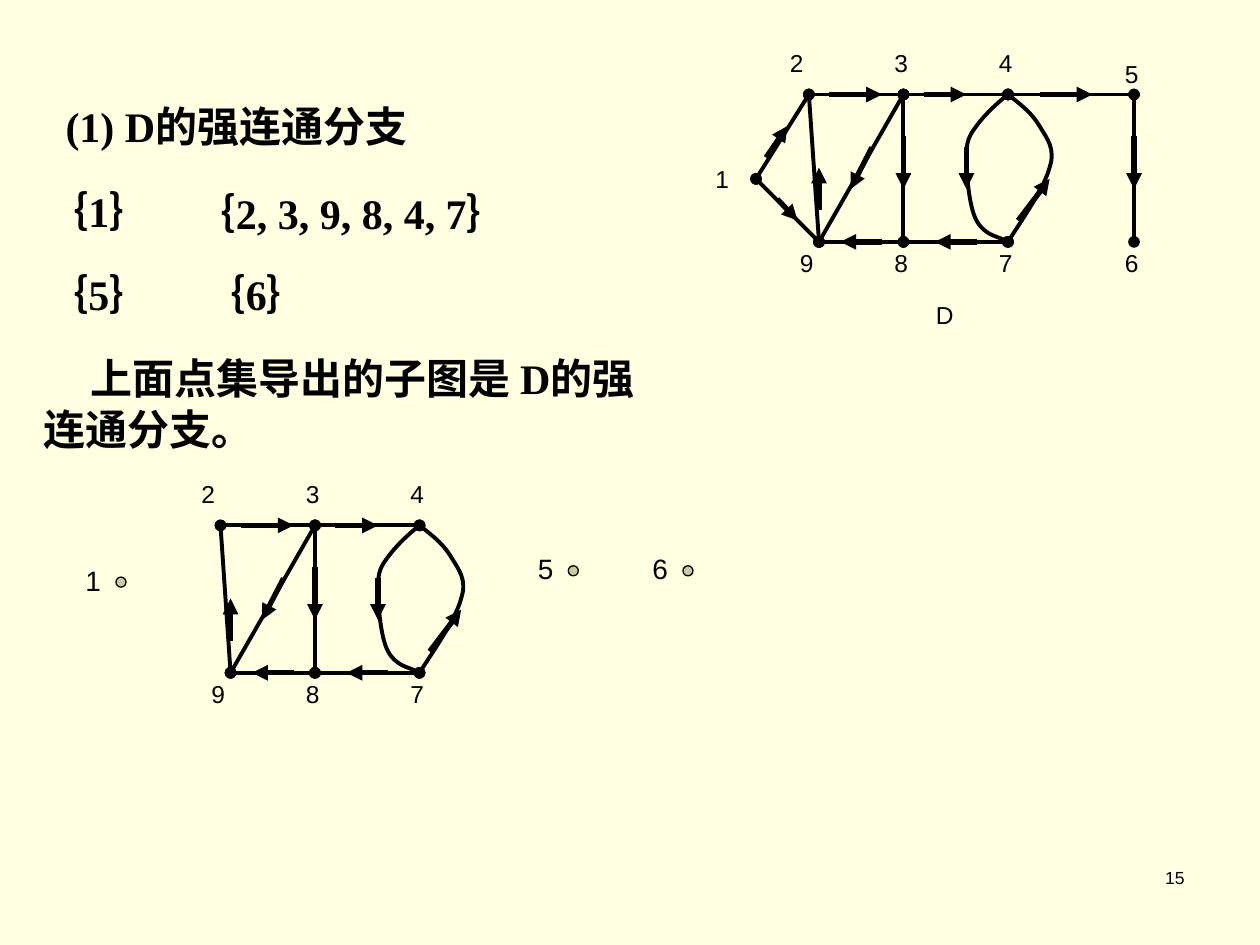
from lxml import etree
from pptx import Presentation
from pptx.dml.color import RGBColor
from pptx.enum.shapes import MSO_CONNECTOR, MSO_SHAPE
from pptx.enum.text import MSO_ANCHOR, MSO_AUTO_SIZE, PP_ALIGN
from pptx.oxml.ns import qn
from pptx.util import Inches, Pt

STRAIGHT, OVAL = MSO_CONNECTOR.STRAIGHT, MSO_SHAPE.OVAL
TOP, LEFT, RIGHT = MSO_ANCHOR.TOP, PP_ALIGN.LEFT, PP_ALIGN.RIGHT
FIT, NO_FIT = MSO_AUTO_SIZE.SHAPE_TO_FIT_TEXT, MSO_AUTO_SIZE.NONE
SERIF, SANS = "Times New Roman", "Arial"
BACKGROUND, INK, DOT = "FFFFE1", "000000", "CCCC99"

HEADING = "(1) D的强连通分支"
COMPONENTS = [  # text, left, top, width
    ("｛1｝", 0.27, 1.42, 1.19),
    ("｛2, 3, 9, 8, 4, 7｝", 1.44, 1.44, 2.86),
    ("｛5｝", 0.27, 2.08, 1.19),
    ("｛6｝", 1.52, 2.08, 1.19),
]
CONCLUSION = "上面点集导出的子图是 D的强连通分支。"
PAGE = "15"

NODES = {  # vertex: (position, label offset)
    1: ((6, 1.42), (-0.42, -0.17)),
    2: ((6.42, 0.75), (-0.25, -0.42)),
    3: ((7.17, 0.75), (-0.17, -0.42)),
    4: ((8, 0.75), (-0.17, -0.42)),
    5: ((9, 0.75), (-0.17, -0.33)),
    6: ((9, 1.92), (-0.17, 0)),
    7: ((8, 1.92), (-0.17, 0)),
    8: ((7.17, 1.92), (-0.17, 0)),
    9: ((6.5, 1.92), (-0.25, 0)),
}
EDGES = [  # from vertex, to vertex, direction arrow start and end
    (1, 2, (6.08, 1.25), (6.25, 1)),
    (1, 9, (6.17, 1.58), (6.33, 1.75)),
    (9, 2, (6.5, 1.67), (6.5, 1.33)),
    (2, 3, (6.58, 0.75), (7, 0.75)),
    (3, 8, (7.17, 1.08), (7.17, 1.5)),
    (8, 9, (7, 1.92), (6.67, 1.92)),
    (7, 8, (7.75, 1.92), (7.42, 1.92)),
    (3, 4, (7.33, 0.75), (7.67, 0.75)),
    (3, 9, (6.92, 1.17), (6.75, 1.5)),
    (4, 7, (7.67, 1.17), (7.67, 1.5)),
    (7, 4, (8.08, 1.75), (8.33, 1.42)),
    (4, 5, (8.25, 0.75), (8.67, 0.75)),
    (5, 6, (9, 1.08), (9, 1.5)),
]
CURVES = {  # Bezier points, from vertex 4 down to vertex 7
    (4, 7): [(8, 0.75), (7.9, 0.83), (7.81, 0.92), (7.75, 1), (7.69, 1.08),
             (7.67, 1.12), (7.67, 1.25), (7.67, 1.37), (7.69, 1.64),
             (7.75, 1.75), (7.81, 1.86), (7.96, 1.89), (8, 1.92)],
    (7, 4): [(8, 0.75), (8.1, 0.83), (8.19, 0.9), (8.25, 1), (8.31, 1.1),
             (8.38, 1.18), (8.33, 1.33), (8.29, 1.49), (8.06, 1.82), (8, 1.92)],
}
STRONG_COMPONENT = (2, 3, 4, 7, 8, 9)
COMPONENT_SHIFT = (-4.67, 3.42)
SINGLE_NODES = [("1", 0.58, 4.42), ("6", 5.08, 4.33), ("5", 4.17, 4.33)]


def color(hex_string):
    return RGBColor.from_string(hex_string)


def shifted(point, shift):
    return point[0] + shift[0], point[1] + shift[1]


def fill_text(frame, text, size, font, bold=False, wrap=True, align=LEFT, fit=FIT):
    frame.text = text
    frame.word_wrap = wrap
    frame.auto_size = fit
    frame.vertical_anchor = TOP
    paragraph = frame.paragraphs[0]
    paragraph.alignment = align
    paragraph.font.size = Pt(size)
    paragraph.font.name = font
    paragraph.font.bold = bold
    paragraph.font.color.rgb = color(INK)
    return paragraph


def add_text(shapes, text, left, top, width, height, size, font, **options):
    box = shapes.add_textbox(Inches(left), Inches(top), Inches(width), Inches(height))
    return fill_text(box.text_frame, text, size, font, **options)


def style_line(shape, width, **ends):
    """Set colour and width, and the head or tail end types given."""
    shape.line.color.rgb = color(INK)
    shape.line.width = Pt(width)
    line = shape.line._get_or_add_ln()
    for end in ("head", "tail"):
        if end in ends:
            etree.SubElement(line, qn(f"a:{end}End"), type=ends[end])


def add_line(shapes, start, end, width, **ends):
    line = shapes.add_connector(STRAIGHT, *(Inches(v) for v in (*start, *end)))
    style_line(line, width, **ends)
    etree.SubElement(line._element.spPr, qn("a:effectLst"))


def add_curve(shapes, points, width, **ends):
    """Draw a freeform whose segments each become one cubic Bezier."""
    start, *rest = [(Inches(x), Inches(y)) for x, y in points]
    builder = shapes.build_freeform(*start)
    builder.add_line_segments(rest, close=False)
    curve = builder.convert_to_shape()
    curve.shadow.inherit = False
    curve.fill.background()
    style_line(curve, width, **ends)
    segments = list(curve._element.iter(qn("a:lnTo")))
    outline = segments[0].getparent()
    for i in range(0, len(segments), 3):
        bezier = etree.SubElement(outline, qn("a:cubicBezTo"))
        for segment in segments[i:i + 3]:
            bezier.append(segment[0])
            outline.remove(segment)


def add_graph(slide, vertices, shift=(0, 0)):
    """Draw the subgraph of D on the vertices; return its group's shapes."""
    shapes = slide.shapes.add_group_shape().shapes
    edges = [edge for edge in EDGES if edge[0] in vertices and edge[1] in vertices]
    for a, b, *_ in edges:
        if (a, b) in CURVES:
            points = [shifted(p, shift) for p in CURVES[a, b]]
            add_curve(shapes, points, 2.25, head="oval", tail="oval")
        else:
            ends = [shifted(NODES[v][0], shift) for v in (a, b)]
            add_line(shapes, *ends, 2.25, head="oval", tail="oval")
    for vertex in vertices:
        position, offset = NODES[vertex]
        left, top = shifted(shifted(position, offset), shift)
        add_text(shapes, str(vertex), left, top, 0.43, 0.34, 14, SANS)
    for _, _, start, end in edges:
        add_line(shapes, shifted(start, shift), shifted(end, shift), 3, tail="triangle")
    return shapes


def add_single_node(slide, label, left, top):
    shapes = slide.shapes.add_group_shape().shapes
    dot = shapes.add_shape(OVAL, Inches(left + 0.34), Inches(top + 0.16),
                           Inches(0.08), Inches(0.08))
    dot.shadow.inherit = False
    dot.fill.solid()
    dot.fill.fore_color.rgb = color(DOT)
    style_line(dot, 0.75)
    add_text(shapes, label, left, top, 0.52, 0.37, 16, SANS)


def main():
    deck = Presentation()
    deck.slide_width, deck.slide_height = Inches(10), Inches(7.5)
    slide = deck.slides.add_slide(deck.slide_layouts.get_by_name("Title Only"))
    slide.background.fill.solid()
    slide.background.fill.fore_color.rgb = color(BACKGROUND)

    heading = slide.shapes.title
    heading.left, heading.top = Inches(0.42), Inches(0.75)
    heading.width, heading.height = Inches(4.75), Inches(0.5)
    fill_text(heading.text_frame, HEADING, 24, SERIF, bold=True, fit=NO_FIT)

    for text, left, top, width in COMPONENTS:
        add_text(slide.shapes, text, left, top, width, 0.5, 24, SERIF,
                 bold=True, wrap=False)
    conclusion = add_text(slide.shapes, CONCLUSION, 0.25, 2.75, 5.17, 0.9, 24, SERIF,
                          bold=True)
    conclusion._p.get_or_add_pPr().set("indent", str(Inches(0.37)))

    graph = add_graph(slide, tuple(NODES))
    add_text(graph, "D", 7.33, 2.33, 0.43, 0.34, 14, SANS)
    add_graph(slide, STRONG_COMPONENT, COMPONENT_SHIFT)
    for label, left, top in SINGLE_NODES:
        add_single_node(slide, label, left, top)
    add_text(slide.shapes, PAGE, 7.42, 6.83, 2.08, 0.5, 10, SANS,
             align=RIGHT, fit=NO_FIT)
    deck.save("out.pptx")


if __name__ == "__main__":
    main()
